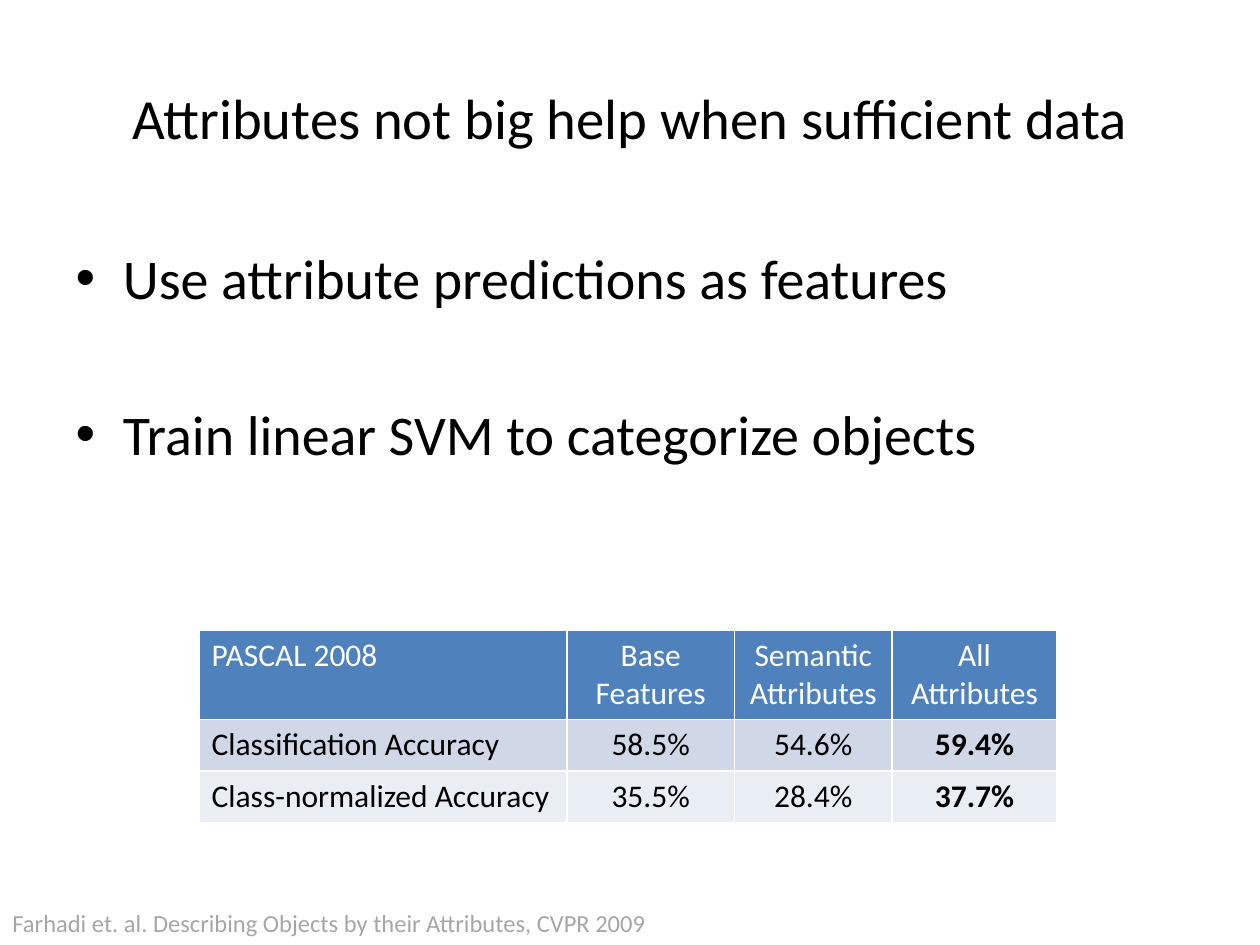
from dataclasses import dataclass

from lxml import etree
from pptx import Presentation
from pptx import util as u
from pptx.dml import color
from pptx.enum import text
from pptx.oxml import ns

WIDTH, HEIGHT = 10, 7.5
FONT = "Calibri"
BLACK, WHITE, GREY = "000000", "FFFFFF", "A6A6A6"
BULLETS = [
    "Use attribute predictions as features",
    "Train linear SVM to categorize objects",
]
COLUMN_WIDTHS = [2.92, 1.33, 1.25, 1.31]


@dataclass(frozen=True)
class Row:
    labels: tuple[str, ...]
    height: float
    fill: str
    ink: str = BLACK
    bold_last: bool = True


ROWS = [
    Row(("PASCAL 2008", "Base Features", "Semantic Attributes", "All Attributes"),
        0.7, "4F81BD", WHITE, False),
    Row(("Classification Accuracy", "58.5%", "54.6%", "59.4%"), 0.41, "D0D8E8"),
    Row(("Class-normalized Accuracy", "35.5%", "28.4%", "37.7%"), 0.41, "E9EDF4"),
]


def rgb(value: str) -> color.RGBColor:
    return color.RGBColor.from_string(value)


def style(paragraph, size: float, ink: str = BLACK, bold: bool = False) -> None:
    font = paragraph.font
    font.name, font.size, font.bold = FONT, u.Pt(size), bold
    font.color.rgb = rgb(ink)


def place(shape, left: float, top: float, width: float, height: float) -> None:
    shape.left, shape.top = u.Inches(left), u.Inches(top)
    shape.width, shape.height = u.Inches(width), u.Inches(height)


def add_borders(cell, ink: str, points: float) -> None:
    properties = cell._tc.get_or_add_tcPr()
    for index, side in enumerate("LRTB"):
        line = etree.Element(ns.qn(f"a:ln{side}"), w=str(u.Pt(points)))
        fill = etree.SubElement(line, ns.qn("a:solidFill"))
        etree.SubElement(fill, ns.qn("a:srgbClr"), val=ink)
        properties.insert(index, line)


def add_title(slide) -> None:
    title = slide.shapes.title
    place(title, 0.5, 0.3, WIDTH - 1, 1.25)
    frame = title.text_frame
    frame.text = "Attributes not big help when sufficient data"
    frame.auto_size = text.MSO_AUTO_SIZE.NONE
    frame.vertical_anchor = text.MSO_ANCHOR.MIDDLE
    frame.paragraphs[0].alignment = text.PP_ALIGN.CENTER
    style(frame.paragraphs[0], 32.4)


def add_bullets(slide) -> None:
    body = slide.placeholders[1]
    place(body, 0.5, 1.25, WIDTH - 1, 2.75)
    frame = body.text_frame
    frame.text = "\n".join(BULLETS)
    frame.auto_size = text.MSO_AUTO_SIZE.NONE
    frame.margin_top = u.Inches(0.68)
    for index, paragraph in enumerate(frame.paragraphs):
        paragraph.space_before = u.Pt(51 if index else 0)
        style(paragraph, 32)


def add_results(slide) -> None:
    frame = slide.shapes.add_table(
        len(ROWS), len(COLUMN_WIDTHS), u.Inches(1.58), u.Inches(5),
        u.Inches(sum(COLUMN_WIDTHS)), u.Inches(sum(row.height for row in ROWS)))
    table = frame.table
    for column, width in zip(table.columns, COLUMN_WIDTHS):
        column.width = u.Inches(width)
    for r, row in enumerate(ROWS):
        table.rows[r].height = u.Inches(row.height)
        for c, label in enumerate(row.labels):
            cell = table.cell(r, c)
            cell.text = label
            cell.fill.solid()
            cell.fill.fore_color.rgb = rgb(row.fill)
            add_borders(cell, WHITE, 1)
            paragraph = cell.text_frame.paragraphs[0]
            paragraph.alignment = text.PP_ALIGN.CENTER if c else text.PP_ALIGN.LEFT
            is_last = c == len(row.labels) - 1
            style(paragraph, 18, row.ink, row.bold_last and is_last)


def add_citation(slide) -> None:
    height = 0.34
    citation = slide.shapes.add_textbox(
        0, u.Inches(HEIGHT - height), u.Inches(WIDTH), u.Inches(height))
    frame = citation.text_frame
    frame.word_wrap = True
    frame.auto_size = text.MSO_AUTO_SIZE.SHAPE_TO_FIT_TEXT
    frame.text = "Farhadi et. al. Describing Objects by their Attributes, CVPR 2009"
    style(frame.paragraphs[0], 14, GREY)


def main() -> None:
    """Build the slide on attribute predictions and save it."""
    deck = Presentation()
    deck.slide_width, deck.slide_height = u.Inches(WIDTH), u.Inches(HEIGHT)
    slide = deck.slides.add_slide(deck.slide_layouts[1])
    add_title(slide)
    add_results(slide)
    add_bullets(slide)
    add_citation(slide)
    deck.save("out.pptx")


if __name__ == "__main__":
    main()
